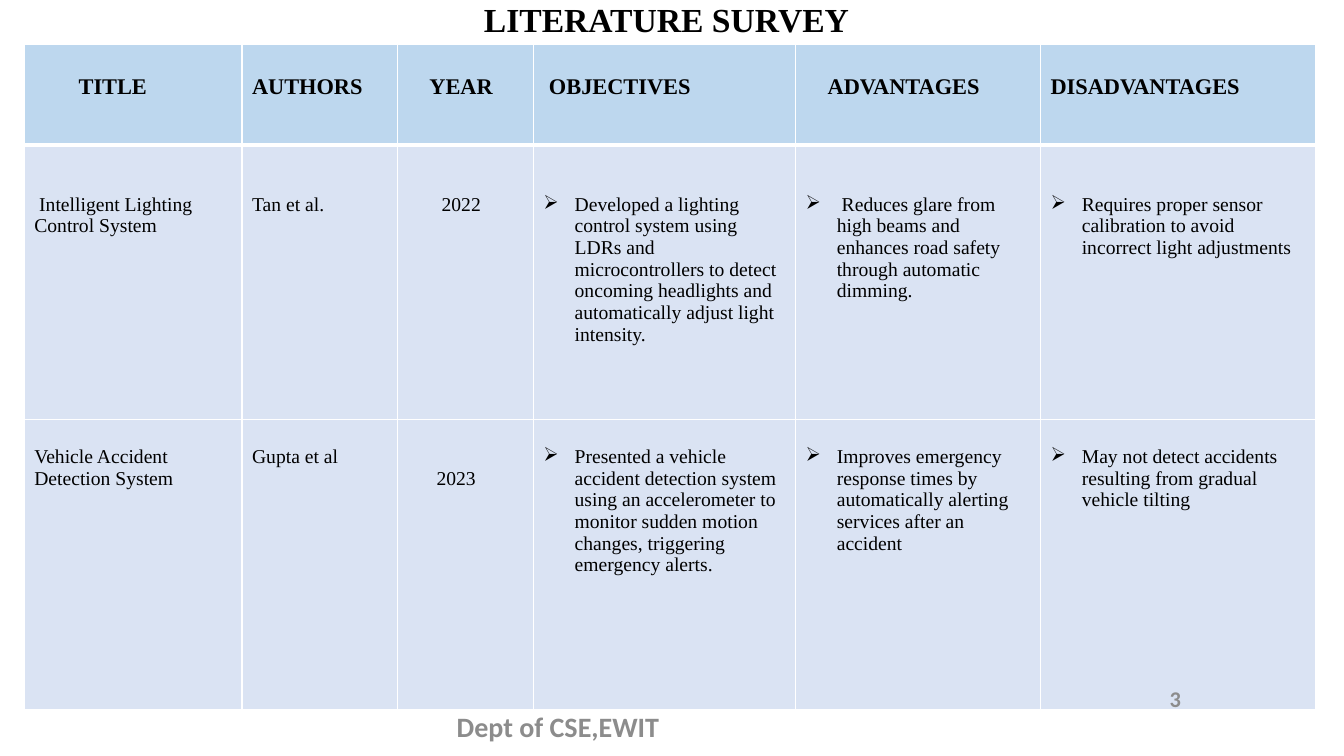
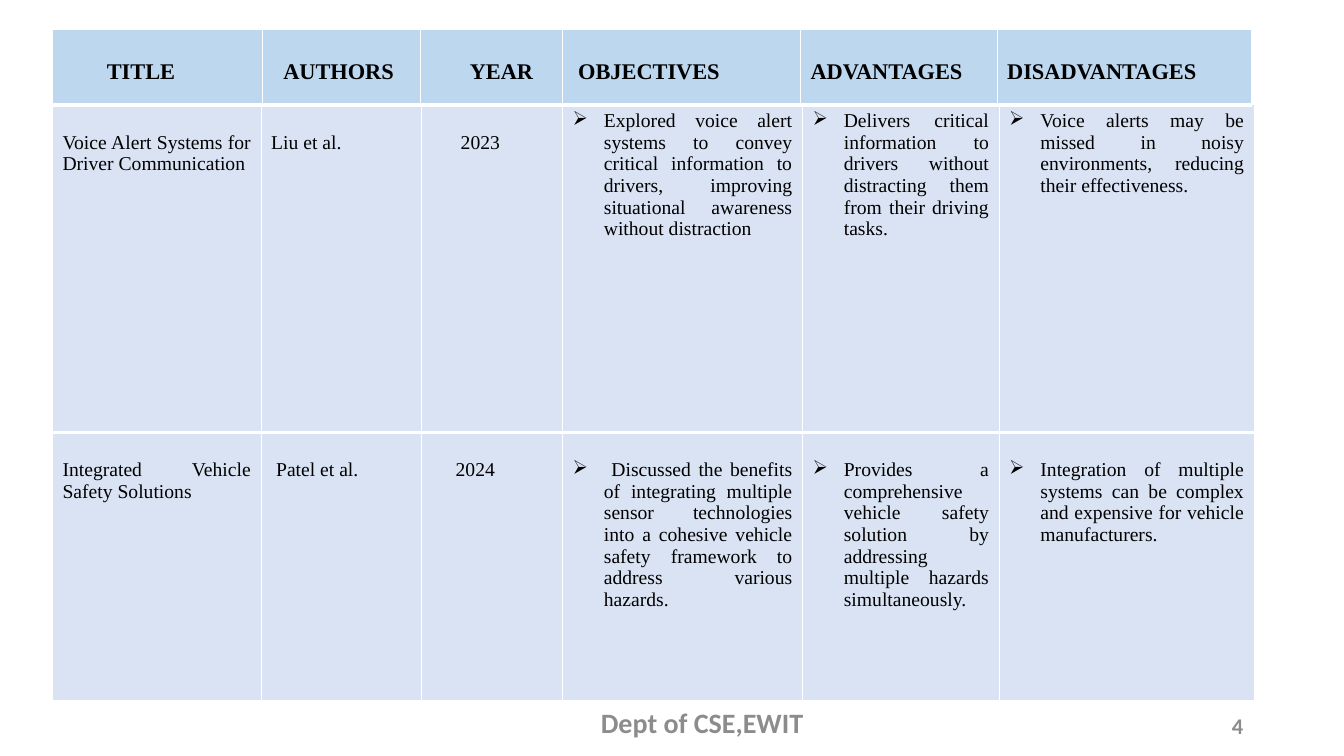
from dataclasses import dataclass

from lxml import etree
from pptx import Presentation
from pptx import util as u
from pptx.dml import color
from pptx.enum import text
from pptx.oxml import ns


@dataclass(frozen=True)
class Theme:
    serif: str = "Times New Roman"
    sans: str = "Calibri"
    ink: str = "000000"
    muted: str = "8C8C8C"
    header_fill: str = "BDD7EE"
    body_fill: str = "DAE3F3"
    border: str = "FFFFFF"
    title_size: int = 24
    header_size: int = 16
    body_size: int = 14
    footer_size: int = 20
    number_size: int = 16
    thin: int = 1
    thick: int = 3
    line_height: float = 1.107


THEME = Theme()
BULLET_COLUMNS = range(3, 6)
JUSTIFY = text.PP_ALIGN.JUSTIFY
CENTER = text.PP_ALIGN.CENTER
MIDDLE = text.MSO_ANCHOR.MIDDLE
HEADINGS = ["TITLE", "AUTHORS", "YEAR", " OBJECTIVES", "ADVANTAGES", "DISADVANTAGES"]


@dataclass
class TableRow:
    height: float
    texts: list
    blank_lines: list
    indents: list
    header: bool = False
    bottom: int = THEME.thin


def header_row(height, indents):
    return TableRow(height, HEADINGS, [1] * 6, indents, True, THEME.thick)


def set_font(paragraph, name, size, rgb, bold):
    font = paragraph.font
    font.name = name
    font.size = u.Pt(size)
    font.bold = bold
    font.color.rgb = color.RGBColor.from_string(rgb)


def add_bullet(paragraph):
    properties = paragraph._p.get_or_add_pPr()
    hanging = u.Inches(0.31)
    properties.set("marL", str(hanging))
    properties.set("indent", str(-hanging))
    etree.SubElement(properties, ns.qn("a:buChar")).set("char", "➢")


def set_borders(cell, top, bottom):
    properties = cell._tc.get_or_add_tcPr()
    widths = {"lnL": THEME.thin, "lnR": THEME.thin, "lnT": top, "lnB": bottom}
    for side, width in widths.items():
        line = etree.SubElement(properties, ns.qn(f"a:{side}"), w=str(u.Pt(width)))
        fill = etree.SubElement(line, ns.qn("a:solidFill"))
        etree.SubElement(fill, ns.qn("a:srgbClr"), val=THEME.border)


def fill_cell(cell, row, column, top, align):
    size = THEME.header_size if row.header else THEME.body_size
    fill = THEME.header_fill if row.header else THEME.body_fill
    set_borders(cell, top, row.bottom)
    cell.fill.solid()
    cell.fill.fore_color.rgb = color.RGBColor.from_string(fill)
    blank_height = row.blank_lines[column] * size * THEME.line_height / 72
    cell.margin_top = u.Inches(0.05 + blank_height)
    cell.margin_left = u.Inches(0.1 + row.indents[column])
    paragraph = cell.text_frame.paragraphs[0]
    paragraph.text = row.texts[column]
    paragraph.alignment = align
    if column in BULLET_COLUMNS and not row.header:
        add_bullet(paragraph)
    set_font(paragraph, THEME.serif, size, THEME.ink, row.header)


def add_survey_table(slide, left, top, widths, rows, align=None):
    frame = slide.shapes.add_table(
        len(rows), len(widths), u.Inches(left), u.Inches(top),
        u.Inches(sum(widths)), u.Inches(sum(row.height for row in rows)))
    table = frame.table
    table.first_row = rows[0].header
    table.horz_banding = False
    for column, width in enumerate(widths):
        table.columns[column].width = u.Inches(width)
    border_above = THEME.thin
    for index, row in enumerate(rows):
        table.rows[index].height = u.Inches(row.height)
        for column in range(len(widths)):
            fill_cell(table.cell(index, column), row, column, border_above, align)
        border_above = row.bottom


def place_title(slide, words):
    title = slide.shapes.title
    title.left, title.top = u.Inches(1.37), u.Inches(-0.2)
    title.width, title.height = u.Inches(11.5), u.Inches(0.82)
    frame = title.text_frame
    frame.vertical_anchor = MIDDLE
    frame.margin_left = u.Inches(3.43)
    paragraph = frame.paragraphs[0]
    paragraph.text = words
    paragraph.alignment = text.PP_ALIGN.LEFT
    paragraph.line_spacing = 0.9
    set_font(paragraph, THEME.serif, THEME.title_size, THEME.ink, True)


def add_footer_text(slide, box, words, size, align=None, anchor=None,
                    left=0.1, top=0.05, right=0.1):
    frame = slide.shapes.add_textbox(*map(u.Inches, box)).text_frame
    frame.word_wrap = True
    frame.vertical_anchor = anchor
    frame.margin_left = u.Inches(left)
    frame.margin_top = u.Inches(top)
    frame.margin_right = u.Inches(right)
    paragraph = frame.paragraphs[0]
    paragraph.text = words
    paragraph.alignment = align
    set_font(paragraph, THEME.sans, size, THEME.muted, True)


def add_department(slide, box, right, anchor=None):
    add_footer_text(slide, box, "Dept of CSE,EWIT", THEME.footer_size,
                    CENTER, anchor, right=right)


def build_first_survey(presentation):
    slide = presentation.slides.add_slide(presentation.slide_layouts[5])
    rows = [
        header_row(1, [0.44, 0, 0.22, 0, 0.22, 0]),
        TableRow(2.72, [
            " Intelligent Lighting Control System",
            "Tan et al.",
            "2022",
            "Developed a lighting control system using LDRs and microcontrollers to "
            "detect oncoming headlights and automatically adjust light intensity.",
            " Reduces glare from high beams and enhances road safety through "
            "automatic dimming.",
            "Requires proper sensor calibration to avoid incorrect light adjustments",
        ], [2] * 6, [0, 0, 0.34, 0, 0, 0]),
        TableRow(2.88, [
            "Vehicle Accident Detection System",
            "Gupta et al",
            "2023",
            "Presented a vehicle accident detection system using an accelerometer to "
            "monitor sudden motion changes, triggering emergency alerts.",
            "Improves emergency response times by automatically alerting services "
            "after an accident",
            "May not detect accidents resulting from gradual vehicle tilting",
        ], [1, 1, 2, 1, 1, 1], [0, 0, 0.29, 0, 0, 0]),
    ]
    add_survey_table(slide, 0.24, 0.44, [2.16, 1.54, 1.35, 2.6, 2.43, 2.73], rows)
    place_title(slide, "LITERATURE SURVEY")
    add_footer_text(slide, (11.49, 6.8, 0.93, 0.6), "3", THEME.number_size,
                    left=0.11, top=0)
    add_department(slide, (0.92, 7.02, 10.57, 0.38), 1.44, MIDDLE)


def build_second_survey(presentation):
    slide = presentation.slides.add_slide(presentation.slide_layouts[6])
    rows = [
        TableRow(3.25, [
            "Voice Alert Systems for Driver Communication",
            "Liu et al.",
            "2023",
            "Explored voice alert systems to convey critical information to drivers, "
            "improving situational awareness without distraction",
            "Delivers critical information to drivers without distracting them from "
            "their driving tasks.",
            "Voice alerts may be missed in noisy environments, reducing their "
            "effectiveness.",
        ], [1, 1, 1, 0, 0, 0], [0, 0, 0.29, 0, 0, 0], bottom=THEME.thick),
        TableRow(2.66, [
            "Integrated Vehicle Safety Solutions",
            " Patel et al.",
            "2024",
            " Discussed the benefits of integrating multiple sensor technologies into "
            "a cohesive vehicle safety framework to address various hazards.",
            "Provides a comprehensive vehicle safety solution by addressing multiple "
            "hazards simultaneously.",
            "Integration of multiple systems can be complex and expensive for vehicle "
            "manufacturers.",
        ], [1] * 6, [0, 0, 0.24, 0, 0, 0]),
    ]
    add_survey_table(slide, 0.52, 1.04, [2.07, 1.59, 1.4, 2.38, 1.95, 2.53],
                     rows, JUSTIFY)
    add_survey_table(slide, 0.52, 0.29, [2.08, 1.57, 1.41, 2.36, 1.95, 2.52],
                     [header_row(0.75, [0.44, 0.11, 0.39, 0, 0, 0])])
    add_department(slide, (5.35, 6.95, 3.3, 0.44), 0.17)
    add_footer_text(slide, (12.12, 7.02, 0.59, 0.37), "4", THEME.number_size)


def main():
    presentation = Presentation()
    presentation.slide_width = u.Inches(13.33)
    presentation.slide_height = u.Inches(7.5)
    build_first_survey(presentation)
    build_second_survey(presentation)
    presentation.save("out.pptx")


if __name__ == "__main__":
    main()
